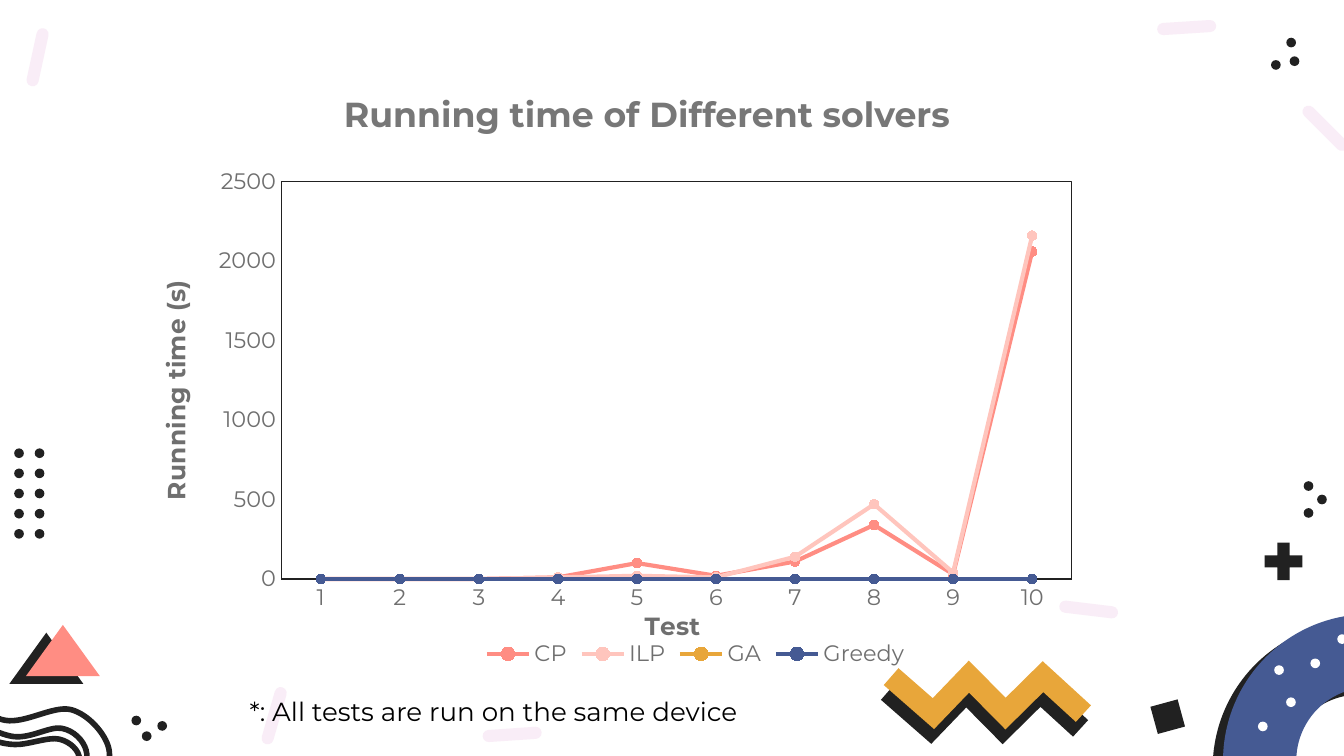
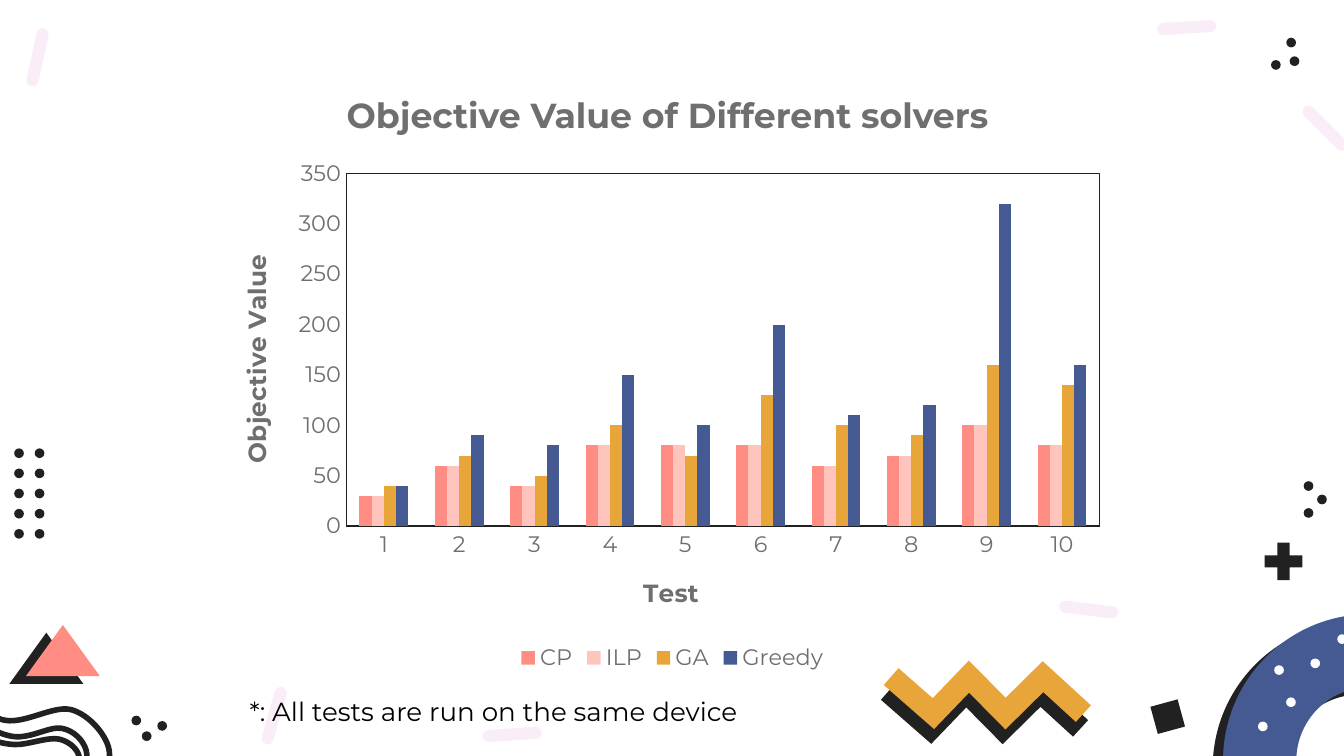
import collections

import lxml.etree
import pptx
import pptx.chart.data
import pptx.dml.color
import pptx.enum.chart
import pptx.enum.shapes
import pptx.enum.text
import pptx.oxml.ns
import pptx.util

Pt = pptx.util.Pt
RGB = pptx.dml.color.RGBColor
SHAPE = pptx.enum.shapes.MSO_SHAPE
CHART = pptx.enum.chart.XL_CHART_TYPE
qn = pptx.oxml.ns.qn
Box = collections.namedtuple("Box", "left top width height")

FONT = "Montserrat"
INK = RGB(0x21, 0x21, 0x21)
BLACK = RGB(0, 0, 0)
WHITE = RGB(255, 255, 255)
GREY = RGB(0x6F, 0x6F, 0x6F)
TITLE_GREY = RGB(0x77, 0x77, 0x77)
CORAL = RGB(0xFF, 0x8D, 0x83)
PINK = RGB(0xFF, 0xC5, 0xBD)
AMBER = RGB(0xE8, 0xA6, 0x3A)
BLUE = RGB(0x45, 0x5A, 0x93)
PALE = RGB(0xF9, 0xED, 0xF7)

SOLVERS = {"CP": CORAL, "ILP": PINK, "GA": AMBER, "Greedy": BLUE}
TESTS = [str(number) for number in range(1, 11)]
RUNNING_TIMES = [
    [0, 0, 0, 10, 100, 20, 110, 340, 30, 2060],
    [0, 0, 0, 10, 20, 10, 140, 470, 40, 2160],
    [0] * 10,
    [0] * 10,
]
EXACT_OBJECTIVES = [30, 60, 40, 80, 80, 80, 60, 70, 100, 80]
OBJECTIVES = [
    EXACT_OBJECTIVES,
    EXACT_OBJECTIVES,
    [40, 70, 50, 100, 70, 130, 100, 90, 160, 140],
    [40, 90, 80, 150, 100, 200, 110, 120, 320, 160],
]
DOT = 5.2

# Anchors of three nested loops, in points.
WAVES = [
    [(19.4, 440.6), (49, 427.7), (58.3, 401), (38.2, 380.2), (2.9, 385.9), (-27.4, 369.4),
     (-51.8, 373.7), (-63.4, 399.6), (-51.8, 427.7), (-20.2, 442.1)],
    [(20.2, 432), (41.8, 421.2), (46.1, 401.8), (33.1, 390.2), (7.2, 394.6), (-23, 383),
     (-41, 383.8), (-49, 401.8), (-39.6, 421.2), (-13, 432)],
    [(-5.8, 429.1), (31, 424.1), (42.5, 406.8), (31.7, 396), (7.9, 398.9), (-10.8, 394.6),
     (-29.5, 388.8), (-40.3, 395.3), (-42.5, 409), (-31, 421.2)],
]


def write_text(frame, text, *, size, color, bold=False):
    span = frame.paragraphs[0].add_run()
    span.text = text
    span.font.name, span.font.size, span.font.bold = FONT, Pt(size), bold
    span.font.color.rgb = color


def add_figure(slide, kind, box, color, rotation=0, adjustment=None):
    shape = slide.shapes.add_shape(kind, *map(Pt, box))
    shape.rotation = rotation
    shape.shadow.inherit = False
    shape.fill.solid()
    shape.fill.fore_color.rgb = color
    shape.line.fill.background()
    if adjustment is not None:
        shape.adjustments[0] = adjustment
    return shape


def add_hard_shadow(shape, distance, angle):
    effects = shape.element.spPr.find(qn("a:effectLst"))
    shadow = lxml.etree.SubElement(
        effects, qn("a:outerShdw"), dist=str(Pt(distance)), dir=str(angle * 60000),
        algn="bl", rotWithShape="0")
    lxml.etree.SubElement(shadow, qn("a:srgbClr"), val=str(INK))


def add_outline(slide, points, color, width, close=False):
    corners = [(Pt(x), Pt(y)) for x, y in points]
    builder = slide.shapes.build_freeform(*corners[0])
    builder.add_line_segments(corners[1:], close=close)
    shape = builder.convert_to_shape()
    shape.shadow.inherit = False
    shape.fill.background()
    shape.line.color.rgb = color
    shape.line.width = Pt(width)
    line = shape.element.spPr.find(qn("a:ln"))
    lxml.etree.SubElement(line, qn("a:miter"), lim="800000")
    return shape


def add_wave(slide, anchors):
    """Draw a closed loop whose sides are bent into smooth Bezier curves."""
    count = len(anchors)
    shape = add_outline(slide, anchors + anchors[:1], INK, 3, close=True)
    for index, side in enumerate(shape.element.findall(".//" + qn("a:lnTo"))):
        before, start, end, after = (anchors[(index + shift) % count] for shift in (-1, 0, 1, 2))
        handles = [
            [s + (e - b) / 6 for b, s, e in zip(before, start, end)],
            [e - (a - s) / 6 for s, e, a in zip(start, end, after)],
        ]
        side.tag = qn("a:cubicBezTo")
        for place, (x, y) in enumerate(handles):
            point = lxml.etree.Element(
                qn("a:pt"), x=str(Pt(x) - shape.left), y=str(Pt(y) - shape.top))
            side.insert(place, point)


def add_dots(slide, left, top, offsets, color=INK):
    for x, y in offsets:
        add_figure(slide, SHAPE.OVAL, Box(left + x, top + y, DOT, DOT), color)


def add_ring(slide, box):
    ring = add_figure(slide, SHAPE.DONUT, box, BLUE, adjustment=0.25)
    add_hard_shadow(ring, 6.8, 145)
    add_dots(slide, box.left, box.top,
             [(18.7, 57.6), (33.8, 44.6), (27.4, 27.4), (46.8, 23.8), (61.2, 10.8)], WHITE)


def add_zigzag(slide, box, color):
    shares = [1, 0.79, 0.595, 0.405, 0.22, 0]
    points = [(box.left + box.width * share, box.top + box.height * (1 - index % 2))
              for index, share in enumerate(shares)]
    add_outline(slide, points, color, 12)


def add_decorations(slide):
    add_ring(slide, Box(655.2, 329, 157, 157))
    for wave in WAVES:
        add_wave(slide, wave)
    triangle = add_figure(slide, SHAPE.ISOSCELES_TRIANGLE, Box(13.9, 334.8, 39.6, 27.4), CORAL)
    add_hard_shadow(triangle, 9.8, 155)
    add_figure(slide, SHAPE.MATH_PLUS, Box(673.9, 287, 27.4, 27.4), INK)
    add_figure(slide, SHAPE.RECTANGLE, Box(618, 376.4, 15.1, 15.1), INK, 164.7)
    add_dots(slide, 698.4, 257.8, [(0, 0), (0, 14.4), (7.2, 7.2)])
    add_dots(slide, 70.4, 383.4, [(0, 0), (13.9, 2.9), (5.6, 8.4)])
    add_dots(slide, 680.9, 20.2, [(0, 12), (8.2, 0), (10, 10)])
    add_dots(slide, 7.6, 240.2, [(x, row * 10.8) for x in (0, 11) for row in range(5)])
    for left, top, rotation in [(131, 380.2, 106.1), (258.5, 390.2, 176.1), (567.4, 323.3, 6.9),
                                (694.1, 65.5, 45), (4.3, 27.4, 282.2), (619.9, 11.5, 356.4)]:
        add_figure(slide, SHAPE.ROUNDED_RECTANGLE, Box(left, top, 31.7, 6.5), PALE, rotation, 0.5)
    add_zigzag(slide, Box(475.9, 370.4, 103, 19.8), INK)
    add_zigzag(slide, Box(477.4, 362.5, 103, 19.8), AMBER)


def decorate_layout(slide):
    """Draw the decorations once and move them to the layout, for all slides."""
    layout = slide.slide_layout
    for holder in list(layout.placeholders):
        if holder.placeholder_format.idx != 0:
            layout.shapes.element.remove(holder.element)
    contents = list(slide.shapes.element)
    add_decorations(slide)
    added = [shape for shape in slide.shapes if shape.element not in contents]
    for number, shape in enumerate(added, start=100):
        shape.element.xpath(".//p:cNvPr")[0].set("id", str(number))
        layout.shapes.element.append(shape.element)


def place_part(parent, index, box, lengths):
    """Lay out a chart part at lengths (x, y and maybe w, h) within the chart's box."""
    for old in parent.findall(qn("c:layout")):
        parent.remove(old)
    layout = lxml.etree.Element(qn("c:layout"))
    manual = lxml.etree.SubElement(layout, qn("c:manualLayout"))
    if len(lengths) == 4:
        lxml.etree.SubElement(manual, qn("c:layoutTarget"), val="inner")
    for mode in ("xMode", "yMode"):
        lxml.etree.SubElement(manual, qn("c:" + mode), val="edge")
    for name, length, whole in zip("xywh", lengths, (box.width, box.height) * 2):
        lxml.etree.SubElement(manual, qn("c:" + name), val=str(length / whole))
    parent.insert(index, layout)


def format_chart_areas(chart):
    space = chart.element
    names = pptx.oxml.ns.nsdecls("c", "a")
    space.chart.addnext(pptx.oxml.parse_xml(
        f'<c:spPr {names}><a:noFill/><a:ln><a:noFill/></a:ln></c:spPr>'))
    space.chart.plotArea.append(pptx.oxml.parse_xml(
        f'<c:spPr {names}><a:noFill/><a:ln w="{Pt(0.75)}"><a:solidFill>'
        f'<a:srgbClr val="{INK}"/></a:solidFill></a:ln></c:spPr>'))


def format_font(font, size, color, name=FONT):
    font.name, font.size = name, Pt(size)
    font.color.rgb = color


def format_axis(axis, title, box, position, rotation):
    axis.has_major_gridlines = False
    axis.major_tick_mark = axis.minor_tick_mark = pptx.enum.chart.XL_TICK_MARK.NONE
    format_font(axis.tick_labels.font, 12, GREY)
    write_text(axis.axis_title.text_frame, title, size=13.3, color=GREY, bold=True)
    element = axis.axis_title.element
    body = element.xpath(".//a:bodyPr")[0]
    body.set("rot", str(rotation * 60000))
    body.set("vert", "horz")
    place_part(element, 1, box, position)


def format_series(series, color, is_line):
    if not is_line:
        series.format.fill.solid()
        series.format.fill.fore_color.rgb = color
        return
    series.smooth = False
    series.format.line.color.rgb = color
    series.format.line.width = Pt(2.25)
    series.marker.style = pptx.enum.chart.XL_MARKER_STYLE.CIRCLE
    series.marker.size = 5
    series.marker.format.fill.solid()
    series.marker.format.fill.fore_color.rgb = color
    series.marker.format.line.color.rgb = color


def add_solver_chart(slide, box, kind, rows, *, value_title, top_value, step, plot_area,
                     test_at, value_at, legend_at=None):
    data = pptx.chart.data.CategoryChartData()
    data.categories = TESTS
    for solver, values in zip(SOLVERS, rows):
        data.add_series(solver, values)
    chart = slide.shapes.add_chart(kind, *map(Pt, box), data).chart
    chart.has_title = False
    format_font(chart.font, 10, INK, "Arial")
    format_chart_areas(chart)
    place_part(chart.element.chart.plotArea, 0, box, plot_area)

    is_line = kind == CHART.LINE_MARKERS
    plot = chart.plots[0]
    plot.vary_by_categories = False
    if not is_line:
        plot.gap_width, plot.overlap = 219, 0
    for series, color in zip(plot.series, SOLVERS.values()):
        format_series(series, color, is_line)

    format_axis(chart.category_axis, "Test", box, test_at, 0)
    chart.category_axis.format.line.color.rgb = INK
    chart.category_axis.format.line.width = Pt(0.75)
    values = chart.value_axis
    format_axis(values, value_title, box, value_at, -90)
    values.format.line.fill.background()
    values.minimum_scale, values.maximum_scale, values.major_unit = 0, top_value, step

    chart.has_legend = True
    chart.legend.position = pptx.enum.chart.XL_LEGEND_POSITION.BOTTOM
    chart.legend.include_in_layout = False
    format_font(chart.legend.font, 12, GREY)
    if legend_at:
        place_part(chart.element.chart.find(qn("c:legend")), 1, box, legend_at)


def add_note(slide, box):
    note = slide.shapes.add_textbox(*map(Pt, box))
    note.text_frame.word_wrap = True
    write_text(note.text_frame, "*: All tests are run on the same device", size=14, color=BLACK)


def set_title(slide, box, text, color):
    title = slide.shapes.title
    title.left, title.top, title.width, title.height = map(Pt, box)
    frame = title.text_frame
    frame.auto_size = pptx.enum.text.MSO_AUTO_SIZE.NONE
    frame.vertical_anchor = pptx.enum.text.MSO_ANCHOR.TOP
    frame.word_wrap = True
    frame.paragraphs[0].alignment = pptx.enum.text.PP_ALIGN.LEFT
    write_text(frame, text, size=18.6, color=color, bold=True)
    slide.shapes.element.append(title.element)


def add_result_slide(deck, title, title_box, title_color, chart_box, kind, rows, **chart_format):
    slide = deck.slides.add_slide(deck.slide_layouts[5])
    add_solver_chart(slide, chart_box, kind, rows, **chart_format)
    add_note(slide, Box(126.7, 369, 321, 24.5))
    set_title(slide, title_box, title, title_color)
    return slide


def main():
    deck = pptx.Presentation()
    deck.slide_width, deck.slide_height = Pt(720), Pt(405)
    first = add_result_slide(
        deck, "Running time of Different solvers", Box(177, 46, 350, 29.5), TITLE_GREY,
        Box(82.4, 83.8, 555, 281), CHART.LINE_MARKERS, RUNNING_TIMES,
        value_title="Running time (s)", top_value=2500, step=500,
        plot_area=(68.3, 13.5, 423.5, 213),
        test_at=(260.6, 240), value_at=(0.2, 64), legend_at=(174.5, 256.6))
    decorate_layout(first)
    add_result_slide(
        deck, "Objective Value of Different solvers", Box(178.5, 46.8, 392, 29.5), GREY,
        Box(120.2, 42.8, 480, 319.7), CHART.COLUMN_CLUSTERED, OBJECTIVES,
        value_title="Objective Value", top_value=350, step=50,
        plot_area=(65.3, 50.2, 403.7, 188.9),
        test_at=(222, 263.5), value_at=(5.6, 91.2))
    deck.save("out.pptx")


if __name__ == "__main__":
    main()
